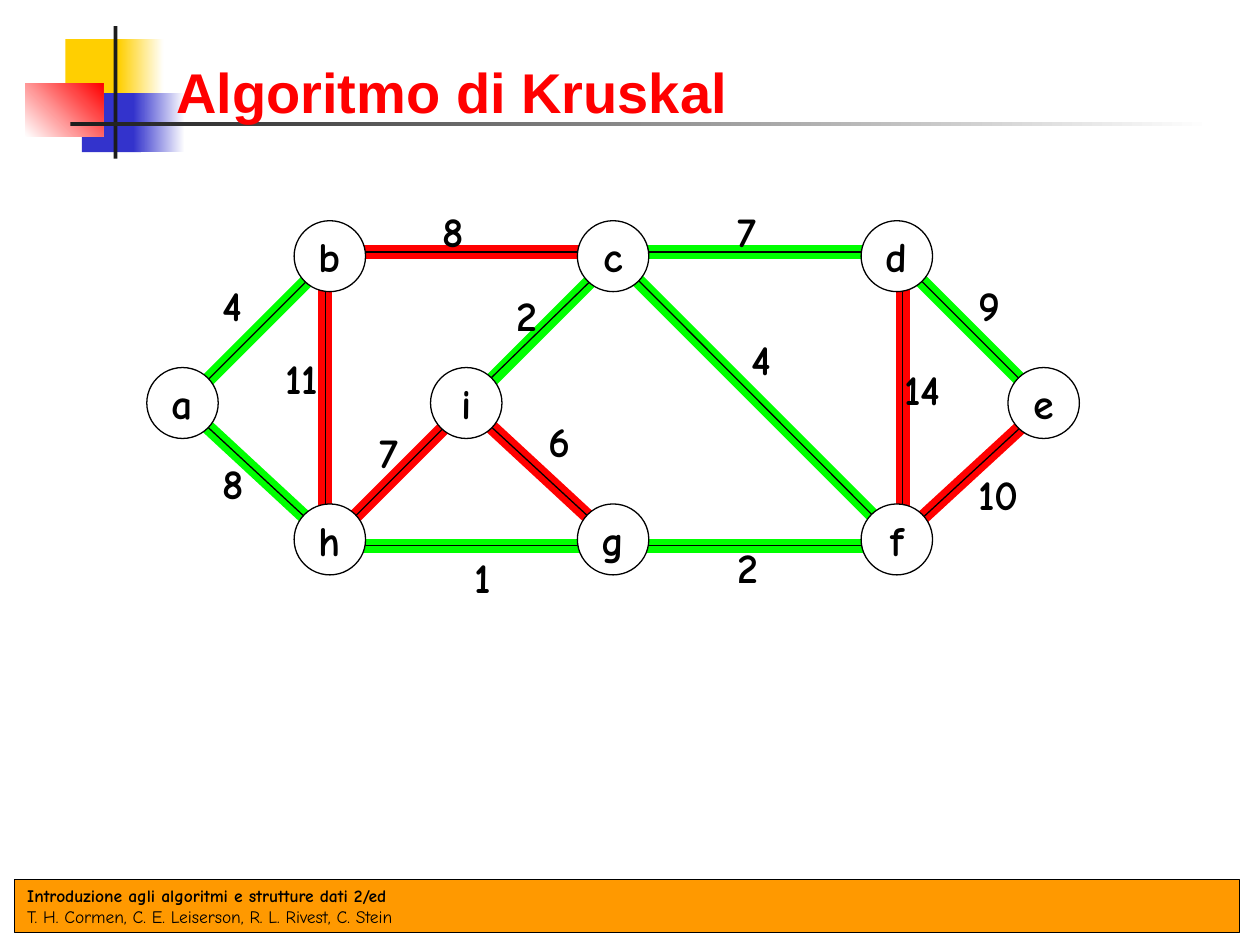
from lxml.etree import SubElement
from pptx import Presentation
from pptx.dml.color import RGBColor
from pptx.enum.shapes import MSO_CONNECTOR, MSO_SHAPE
from pptx.enum.text import MSO_ANCHOR, MSO_AUTO_SIZE, PP_ALIGN
from pptx.oxml.ns import qn
from pptx.util import Cm, Pt

GRAPH_FONT = "Comic Neue"
BLACK, WHITE, RED, GREEN = "000000", "FFFFFF", "FF0000", "00FF00"
YELLOW, BLUE, CHARCOAL, ORANGE = "FFCF01", "3333CC", "1C1C1C", "FF9900"
NODE_WIDTH, NODE_HEIGHT = 1.44, 1.43

# Left, top, width, height, gradient start (or solid fill), gradient end, angle
ORNAMENTS = [
    (1.32, 0.79, 1.22, 1.19, YELLOW, None, 0),
    (2.39, 0.79, 0.91, 1.19, YELLOW, WHITE, 0),
    (1.65, 1.88, 1.19, 1.19, BLUE, None, 0),
    (2.69, 1.88, 1.04, 1.19, BLUE, WHITE, 0),
    (0.51, 1.68, 1.57, 1.07, WHITE, RED, 45),
    (2.29, 0.53, 0.08, 2.67, CHARCOAL, None, 0),
    (1.42, 2.46, 23.01, 0.08, CHARCOAL, WHITE, 0),
]

# Node name: left and top
NODES = {
    "a": (2.96, 7.41), "e": (20.32, 7.41), "h": (5.93, 10.16),
    "g": (11.64, 10.16), "f": (17.36, 10.16), "d": (17.36, 4.45),
    "c": (11.64, 4.45), "b": (5.93, 4.45), "i": (8.68, 7.41),
}

# Highlight colour, highlight ends, thin line ends, weight, label left and top
EDGES = [
    (GREEN, (12.7, 11, 17.99, 11), (12.49, 11, 18.29, 11), "2", 14.61, 10.8),
    (RED, (6.77, 10.8, 9.31, 8.26), (9.31, 8.26, 6.77, 10.8), "7", 7.41, 8.47),
    (RED, (6.77, 5.08, 12.07, 5.08), (6.56, 5.08, 12.34, 5.08), "8", 8.68, 4.02),
    (RED, (18.2, 10.8, 20.96, 8.26), (20.96, 8.26, 17.99, 11), "10", 19.47, 9.31),
    (RED, (6.56, 5.29, 6.56, 10.37), (6.56, 5.08, 6.56, 10.82), "11", 5.5, 6.99),
    (RED, (18.2, 5.29, 18.2, 10.58), (18.2, 5.08, 18.2, 10.82), "14", 17.99, 7.2),
    (GREEN, (12.28, 5.08, 17.99, 5.08), (12.49, 5.08, 18.29, 5.08), "7", 14.61, 4.02),
    (GREEN, (6.77, 11, 12.28, 11), (6.56, 11, 12.34, 11), "1", 9.31, 11),
    (GREEN, (3.81, 8.26, 6.77, 11), (6.77, 11, 3.81, 8.26), "8", 4.23, 9.1),
    (GREEN, (18.2, 5.29, 21.17, 8.26), (21.17, 8.26, 18.2, 5.29), "9", 19.47, 5.5),
    (RED, (9.53, 8.26, 12.49, 11), (12.28, 10.8, 9.53, 8.26), "6", 10.8, 8.26),
    (GREEN, (12.49, 5.29, 18.2, 11), (18.2, 11, 12.4, 5.18), "4", 14.91, 6.6),
    (GREEN, (3.81, 8.04, 6.56, 5.29), (6.56, 5.29, 3.81, 8.04), "4", 4.23, 5.5),
    (GREEN, (9.53, 8.04, 12.28, 5.29), (12.4, 5.18, 9.47, 8.04), "2", 10.16, 5.71),
]


def color(hex_value):
    return RGBColor.from_string(hex_value)


def format_runs(paragraph, size, font_name=GRAPH_FONT, font_color=BLACK):
    for run in paragraph.runs:
        run.font.name = font_name
        run.font.size = Pt(size)
        run.font.bold = True
        run.font.color.rgb = color(font_color)


def add_filled_shape(slide, kind, left, top, width, height, fill, outline=None):
    shape = slide.shapes.add_shape(kind, Cm(left), Cm(top), Cm(width), Cm(height))
    shape.shadow.inherit = False
    shape.fill.solid()
    shape.fill.fore_color.rgb = color(fill)
    if outline:
        shape.line.color.rgb = color(outline)
        shape.line.width = Pt(0.75)
    else:
        shape.line.fill.background()
    return shape


def add_ornament(slide, left, top, width, height, start, end, angle):
    shape = add_filled_shape(slide, MSO_SHAPE.RECTANGLE, left, top, width, height, start)
    if end:
        shape.fill.gradient()
        shape.fill.gradient_angle = angle
        for stop, position, stop_color in zip(shape.fill.gradient_stops, (0, 1), (start, end)):
            stop.position = position
            stop.color.rgb = color(stop_color)


def add_footer(slide):
    shape = add_filled_shape(slide, MSO_SHAPE.RECTANGLE, 0.3, 17.73, 24.69, 1.07,
                             ORANGE, BLACK)
    frame = shape.text_frame
    frame.text = ("Introduzione agli algoritmi e strutture dati 2/ed\v"
                  "T. H. Cormen, C. E. Leiserson, R. L. Rivest, C. Stein")
    frame.vertical_anchor = MSO_ANCHOR.MIDDLE
    paragraph = frame.paragraphs[0]
    paragraph.alignment = PP_ALIGN.LEFT
    format_runs(paragraph, 10)
    paragraph.runs[1].font.bold = False


def add_line(slide, ends, line_color, width):
    line = slide.shapes.add_connector(MSO_CONNECTOR.STRAIGHT, *map(Cm, ends))
    line.line.color.rgb = color(line_color)
    line.line.width = Pt(width)
    SubElement(line._element.spPr, qn("a:effectLst"))


def add_node(slide, name, left, top):
    shape = add_filled_shape(slide, MSO_SHAPE.OVAL, left, top, NODE_WIDTH, NODE_HEIGHT,
                             WHITE, BLACK)
    frame = shape.text_frame
    frame.text = name
    frame.word_wrap = False
    frame.vertical_anchor = MSO_ANCHOR.MIDDLE
    frame.paragraphs[0].alignment = PP_ALIGN.CENTER
    format_runs(frame.paragraphs[0], 24)


def add_weight(slide, weight, left, top):
    width = 0.94 if len(weight) == 1 else 1.35
    box = slide.shapes.add_textbox(Cm(left), Cm(top), Cm(width), Cm(1.27))
    frame = box.text_frame
    frame.text = weight
    frame.word_wrap = False
    frame.auto_size = MSO_AUTO_SIZE.SHAPE_TO_FIT_TEXT
    format_runs(frame.paragraphs[0], 24)


def set_title(slide, text):
    title = slide.shapes.title
    title.left, title.top, title.width, title.height = map(Cm, (3.3, 0.74, 20.93, 1.9))
    frame = title.text_frame
    frame.text = text
    frame.vertical_anchor = MSO_ANCHOR.BOTTOM
    frame.paragraphs[0].alignment = PP_ALIGN.LEFT
    format_runs(frame.paragraphs[0], 32, "Arial", RED)
    # Bring the title in front of the ornaments
    slide.shapes._spTree.append(title._element)


def main():
    presentation = Presentation()
    presentation.slide_width, presentation.slide_height = Cm(25.4), Cm(19.05)
    slide = presentation.slides.add_slide(presentation.slide_layouts[5])

    # Footer and corner ornaments
    add_footer(slide)
    for ornament in ORNAMENTS:
        add_ornament(slide, *ornament)

    # Graph: highlights, edges, nodes, then weights on top
    for highlight, ends, *_ in EDGES:
        add_line(slide, ends, highlight, 8)
    for _, _, ends, *_ in EDGES:
        add_line(slide, ends, BLACK, 0.75)
    for name, position in NODES.items():
        add_node(slide, name, *position)
    for *_, weight, left, top in EDGES:
        add_weight(slide, weight, left, top)

    set_title(slide, "Algoritmo di Kruskal")
    presentation.save("out.pptx")


if __name__ == "__main__":
    main()
